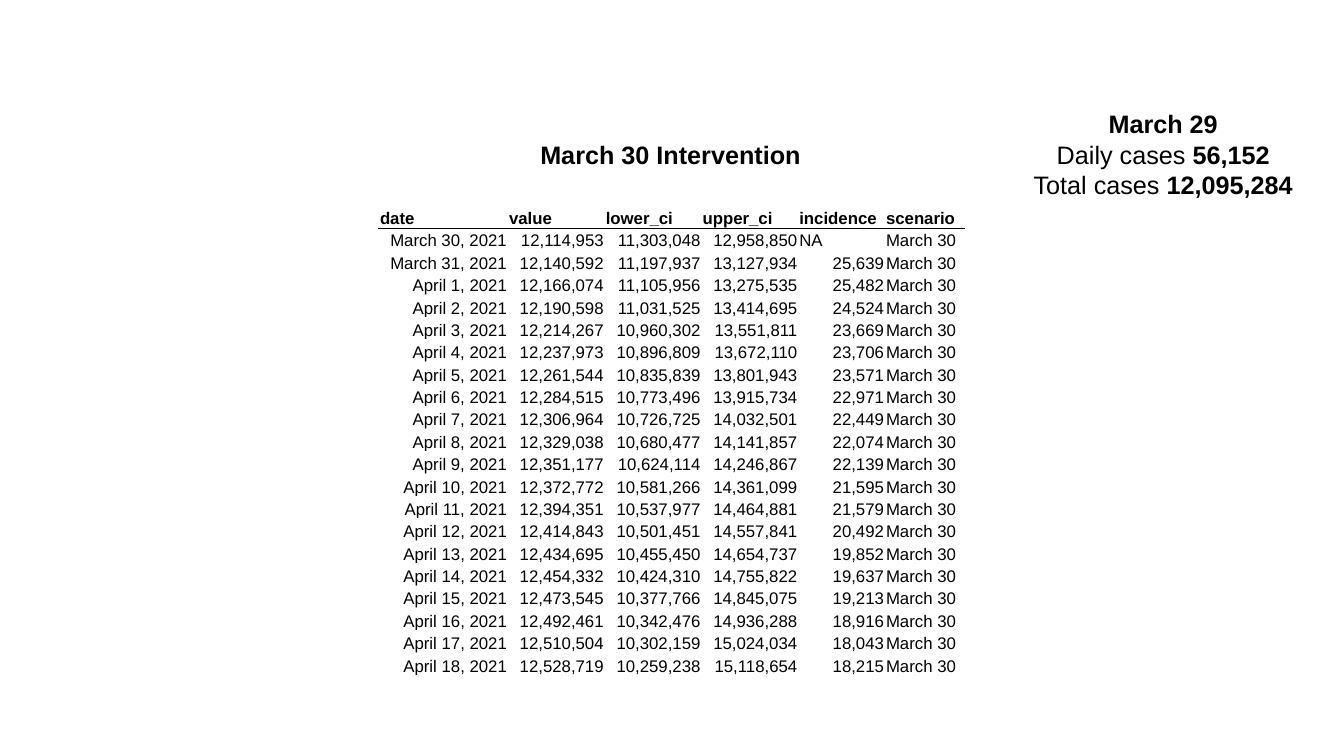
from itertools import pairwise
from lxml.etree import SubElement as Sub
from pptx import Presentation
from pptx.dml.color import RGBColor
from pptx.enum.text import MSO_ANCHOR as Anchor, MSO_AUTO_SIZE as Fit, PP_ALIGN as Align
from pptx.oxml.ns import qn
from pptx.util import Inches, Pt

BLACK = RGBColor(0, 0, 0)
FONT = "Arial"
WIDE, HIGH = Inches(13.33), Inches(7.5)

HEADS = ["date", "value", "lower_ci", "upper_ci", "incidence", "scenario"]
WIDTHS = [1.28, 0.96, 0.96, 0.96, 0.86, 0.79]
# value, lower and upper bound for each day from March 30
CASES = [
    (12114953, 11303048, 12958850), (12140592, 11197937, 13127934),
    (12166074, 11105956, 13275535), (12190598, 11031525, 13414695),
    (12214267, 10960302, 13551811), (12237973, 10896809, 13672110),
    (12261544, 10835839, 13801943), (12284515, 10773496, 13915734),
    (12306964, 10726725, 14032501), (12329038, 10680477, 14141857),
    (12351177, 10624114, 14246867), (12372772, 10581266, 14361099),
    (12394351, 10537977, 14464881), (12414843, 10501451, 14557841),
    (12434695, 10455450, 14654737), (12454332, 10424310, 14755822),
    (12473545, 10377766, 14845075), (12492461, 10342476, 14936288),
    (12510504, 10302159, 15024034), (12528719, 10259238, 15118654),
]


def area(left, top, width, height):
    """Turn percentages of the slide into a box."""
    return [round(n * side / 100) for n, side in
            zip((left, top, width, height), (WIDE, HIGH, WIDE, HIGH))]


def write(para, text, size=18, bold=False, align=Align.LEFT):
    para.alignment = align
    run = para.add_run()
    run.text = text
    run.font.name, run.font.size, run.font.bold = FONT, Pt(size), bold
    run.font.color.rgb = BLACK


def rule(cell, side):
    """Draw a thin black border on one side of a cell."""
    props = cell._tc.get_or_add_tcPr()
    line = props.makeelement(qn("a:" + side), {"w": str(Pt(0.5))})
    fill = Sub(line, qn("a:solidFill"))
    Sub(fill, qn("a:srgbClr"), val=str(BLACK))
    props.insert(0, line)


def grow(frame):
    frame.word_wrap = False
    frame.auto_size = Fit.SHAPE_TO_FIT_TEXT


def add_title(slide, box):
    title = slide.shapes.title
    title.left, title.top, title.width, title.height = box
    grow(title.text_frame)
    title.text_frame.vertical_anchor = Anchor.TOP
    write(title.text_frame.paragraphs[0], "March 30 Intervention", bold=True)


def add_note(slide, box):
    frame = slide.shapes.add_textbox(*box).text_frame
    grow(frame)
    write(frame.paragraphs[0], "March 29", bold=True, align=Align.CENTER)
    for label, count in (("Daily cases ", "56,152"), ("Total cases ", "12,095,284")):
        para = frame.add_paragraph()
        write(para, label, align=Align.CENTER)
        write(para, count, bold=True, align=Align.CENTER)


def make_rows():
    # Incidence is the daily rise in value
    values = [case[0] for case in CASES]
    rises = ["NA"] + [f"{new - old:,}" for old, new in pairwise(values)]
    dates = [f"March {day}, 2021" for day in (30, 31)]
    dates += [f"April {day}, 2021" for day in range(1, 19)]
    return [[date, *(f"{n:,}" for n in case), rise, "March 30"]
            for date, case, rise in zip(dates, CASES, rises)]


def add_cases(slide, box):
    rows = [HEADS] + make_rows()
    table = slide.shapes.add_table(len(rows), len(HEADS), *box).table
    table.first_row = table.horz_banding = False
    for col, share in zip(table.columns, WIDTHS):
        col.width = round(box[2] * share / sum(WIDTHS))
    for r, row in enumerate(rows):
        table.rows[r].height = round(box[3] / len(rows))
        for c, text in enumerate(row):
            cell = table.cell(r, c)
            cell.fill.background()
            cell.vertical_anchor = Anchor.BOTTOM
            cell.margin_left = cell.margin_right = cell.margin_top = Inches(0.01)
            cell.margin_bottom = 0
            left = r == 0 or c == len(HEADS) - 1 or text == "NA"
            write(cell.text_frame.paragraphs[0], text, size=12, bold=r == 0,
                  align=Align.LEFT if left else Align.RIGHT)
            if r < 2:
                rule(cell, "lnT" if r else "lnB")


def main():
    deck = Presentation()
    deck.slide_width, deck.slide_height = WIDE, HIGH
    slide = deck.slides.add_slide(deck.slide_layouts[5])
    add_cases(slide, area(28.2, 27.2, 43.58, 62.27))
    add_title(slide, area(39.45, 17.73, 21.08, 5.33))
    add_note(slide, area(76.05, 13.73, 21, 13.47))
    deck.save("out.pptx")


if __name__ == "__main__":
    main()
